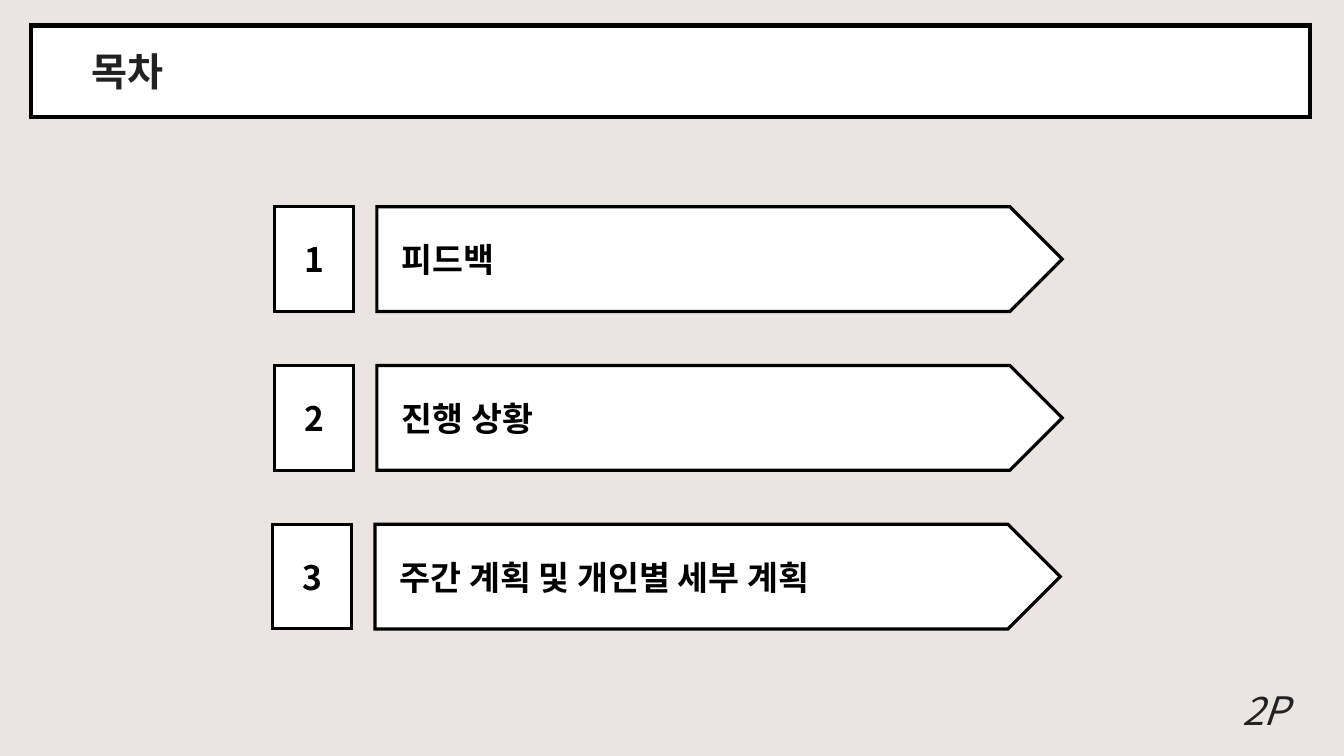
from typing import NamedTuple

from pptx import Presentation
from pptx.dml.color import RGBColor
from pptx.enum import shapes, text
from pptx.oxml import ns, xmlchemy as xc
from pptx.util import Cm, Pt

FONT = "Noto Sans CJK KR"
BACK = RGBColor(0xEA, 0xE5, 0xE2)
WHITE = RGBColor(0xFF, 0xFF, 0xFF)
BLACK = RGBColor(0, 0, 0)
DARK = RGBColor(0x23, 0x21, 0x24)

TOP, STEP, HIGH = 5.21, 4.0, 2.64
BOX, GAP, ARROW = 2.01, 0.58, 17.27


class Topic(NamedTuple):
    label: str
    left: float


TOPICS = [
    Topic("피드백", 6.91),
    Topic("진행 상황", 6.91),
    Topic("주간 계획 및 개인별 세부 계획", 6.86),
]


def frame(shape, width: float) -> None:
    """Give a shape a white fill and a black outline with sharp corners."""
    shape.fill.solid()
    shape.fill.fore_color.rgb = WHITE
    shape.line.color.rgb = BLACK
    shape.line.width = Pt(width)
    line = shape.element.spPr.find(ns.qn("a:ln"))
    miter = xc.OxmlElement("a:miter")
    miter.set("lim", "800000")
    line.append(miter)


def write(shape, words: str, size: int, color: RGBColor, align,
          bold: bool = False, italic: bool = False) -> None:
    body = shape.text_frame
    body.text = words
    para = body.paragraphs[0]
    para.alignment = align
    run = para.runs[0]
    font = run.font
    font.name, font.size = FONT, Pt(size)
    font.bold, font.italic = bold, italic
    font.color.rgb = color
    east = xc.OxmlElement("a:ea")
    east.set("typeface", FONT)
    font._element.find(ns.qn("a:latin")).addnext(east)


def panel(slide, kind, left: float, top: float, width: float,
          words: str, align):
    """Add one outlined agenda shape with bold text."""
    shape = slide.shapes.add_shape(kind, Cm(left), Cm(top), Cm(width), Cm(HIGH))
    shape.shadow.inherit = False
    frame(shape, 2.25)
    write(shape, words, 24, BLACK, align, bold=True)
    shape.text_frame.vertical_anchor = text.MSO_ANCHOR.MIDDLE
    return shape


def main() -> None:
    deck = Presentation()
    deck.slide_width, deck.slide_height = Cm(33.87), Cm(19.05)
    slide = deck.slides.add_slide(deck.slide_layouts[5])
    slide.background.fill.solid()
    slide.background.fill.fore_color.rgb = BACK
    left, center = text.PP_ALIGN.LEFT, text.PP_ALIGN.CENTER

    title = slide.shapes.title
    title.left, title.top = Cm(0.79), Cm(0.64)
    title.width, title.height = Cm(32.23), Cm(2.31)
    frame(title, 3)
    write(title, "목차", 28, DARK, left, bold=True)
    title.text_frame.margin_left = Cm(1.52)
    title.text_frame.vertical_anchor = text.MSO_ANCHOR.MIDDLE
    title.text_frame.auto_size = text.MSO_AUTO_SIZE.NONE

    for row, topic in enumerate(TOPICS):
        top = TOP + row * STEP
        panel(slide, shapes.MSO_SHAPE.RECTANGLE, topic.left, top, BOX,
              str(row + 1), center)
        arrow = panel(slide, shapes.MSO_SHAPE.PENTAGON, topic.left + BOX + GAP,
                      top, ARROW, topic.label, left)
        arrow.text_frame.margin_left = Cm(0.63)

    page = slide.shapes.add_textbox(Cm(30.48), Cm(17.17), Cm(2.82), Cm(1.45))
    page.text_frame.word_wrap = True
    write(page, "2P", 28, DARK, center, italic=True)

    deck.save("out.pptx")


if __name__ == "__main__":
    main()
